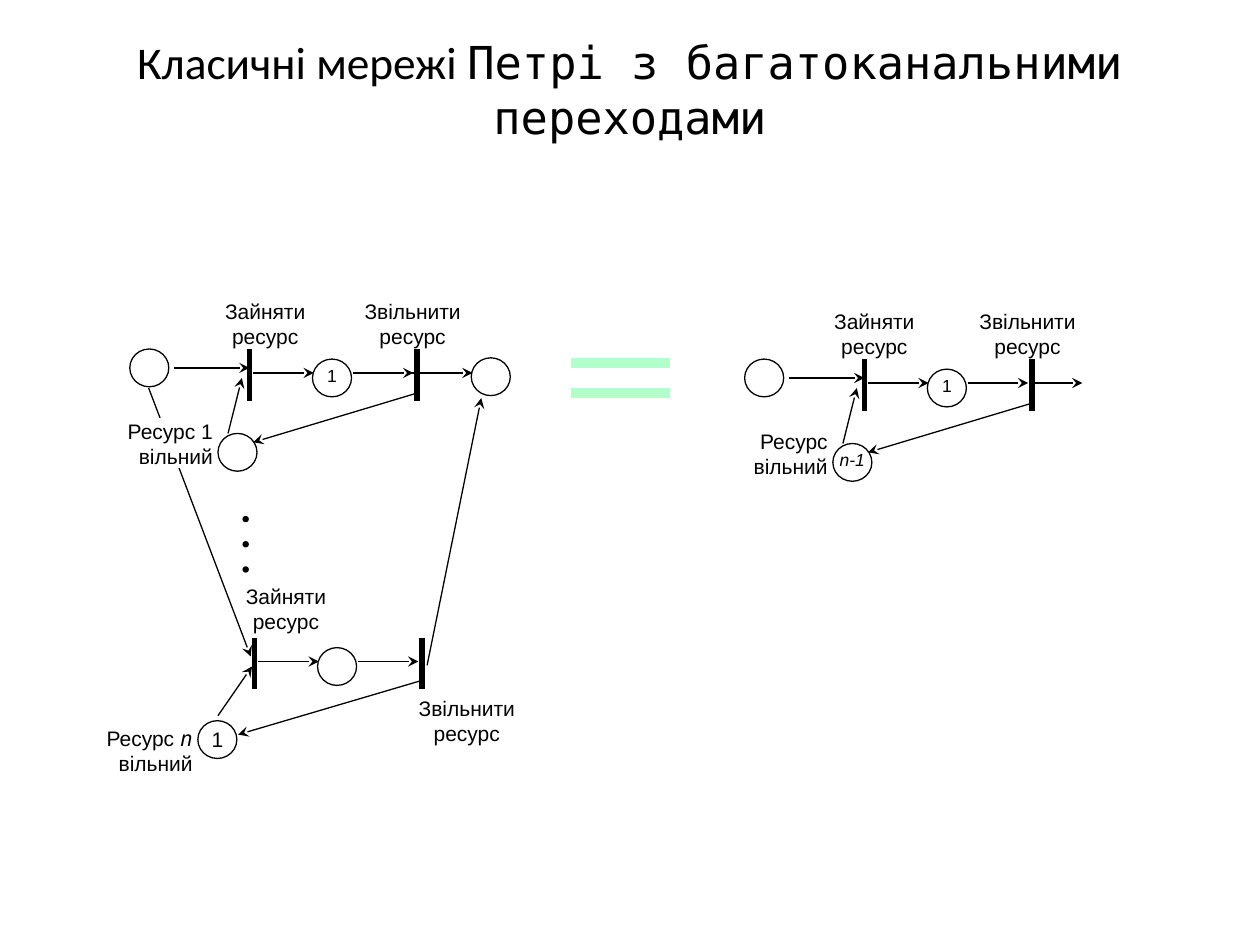
from dataclasses import dataclass

from lxml import etree
from pptx import Presentation
from pptx.dml.color import RGBColor
from pptx.enum.shapes import MSO_CONNECTOR, MSO_SHAPE
from pptx.enum.text import MSO_ANCHOR, PP_ALIGN
from pptx.oxml.ns import qn
from pptx.util import Inches, Pt

LINE = MSO_CONNECTOR.STRAIGHT
OVAL, RECT = MSO_SHAPE.OVAL, MSO_SHAPE.RECTANGLE
TOP, MIDDLE = MSO_ANCHOR.TOP, MSO_ANCHOR.MIDDLE
CENTER, RIGHT = PP_ALIGN.CENTER, PP_ALIGN.RIGHT


@dataclass(frozen=True)
class Theme:
    ink: RGBColor = RGBColor(0x00, 0x00, 0x00)
    paper: RGBColor = RGBColor(0xFF, 0xFF, 0xFF)
    equals: RGBColor = RGBColor(0xB3, 0xFF, 0xCC)
    title_font: str = "Calibri"
    mono_font: str = "DejaVu Sans Mono"
    body_font: str = "Arial"
    title_size: float = 25.9
    label_size: float = 12
    token_size: float = 10
    thin: float = 0.75
    bar: float = 3
    equals_width: float = 6


THEME = Theme()
PLACE_W, PLACE_H = 0.31, 0.3
BAR_GAP, BAR_H = 1.33, 0.41
FLOW_Y = 0.19  # height of the main flow below the top of the bars
OCCUPY, RELEASE = "Зайняти ресурс", "Звільнити ресурс"


def add_line(s, start, end, width=THEME.thin, color=THEME.ink, arrow=False):
    cn = s.shapes.add_connector(LINE, *(Inches(v) for v in (*start, *end)))
    cn.line.width = Pt(width)
    cn.line.color.rgb = color
    etree.SubElement(cn._element.spPr, qn("a:effectLst"))
    if arrow:
        tail = etree.SubElement(cn.line._get_or_add_ln(), qn("a:tailEnd"))
        tail.set("type", "stealth")


def add_arrow(s, start, end):
    add_line(s, start, end, arrow=True)


def add_box(s, kind, x, y, w, h, fill, line):
    sp = s.shapes.add_shape(kind, *(Inches(v) for v in (x, y, w, h)))
    sp.shadow.inherit = False
    sp.fill.solid()
    sp.fill.fore_color.rgb = fill
    sp.line.color.rgb = line
    sp.line.width = Pt(THEME.thin)
    return sp


def set_text(tf, runs, size, align, wrap=True, anchor=TOP, inset=0):
    """Fill one paragraph; runs are (text, font, italic)."""
    tf.word_wrap = wrap
    tf.vertical_anchor = anchor
    tf.margin_left = tf.margin_right = Inches(inset)
    tf.margin_top = tf.margin_bottom = Inches(inset / 2)
    p = tf.paragraphs[0]
    p.alignment = align
    p.font.size = Pt(size)
    p.font.color.rgb = THEME.ink
    for text, font, italic in runs:
        r = p.add_run()
        r.text = text
        r.font.name = font
        r.font.italic = italic


def add_place(s, x, y, token="", size=THEME.token_size, italic=False):
    sp = add_box(s, OVAL, x, y, PLACE_W, PLACE_H, THEME.paper, THEME.ink)
    if token:
        set_text(sp.text_frame, [(token, THEME.body_font, italic)], size,
                 CENTER, wrap=False)


def add_label(s, x, y, w, *runs, align=CENTER):
    sp = add_box(s, RECT, x, y, w, 0.39, THEME.paper, THEME.paper)
    runs = [r if isinstance(r, tuple) else (r, THEME.body_font, False) for r in runs]
    set_text(sp.text_frame, runs, THEME.label_size, align)


def add_channel(s, x, y, token=""):
    """Two transitions around a busy place; (x, y) is the top of the first bar."""
    for bar_x in (x, x + BAR_GAP):
        add_line(s, (bar_x, y), (bar_x, y + BAR_H), THEME.bar)
    add_place(s, x + 0.5, y + 0.08, token)
    for dx in (0.03, 0.82):
        add_arrow(s, (x + dx, y + FLOW_Y), (x + dx + 0.48, y + FLOW_Y))


def add_entry_and_resource(s, x, y, token=""):
    """Input place and resource place of the channel at (x, y)."""
    add_place(s, x - 0.95, y)
    add_arrow(s, (x - 0.6, y + 0.15), (x, y + 0.15))
    add_place(s, x - 0.25, y + 0.67, token, italic=True)
    add_arrow(s, (x - 0.17, y + 0.67), (x - 0.06, y + 0.23))
    add_arrow(s, (x + BAR_GAP, y + 0.35), (x + 0.03, y + 0.74))


def add_first_channel(s, x, y):
    add_channel(s, x, y, "1")
    add_entry_and_resource(s, x, y)
    add_place(s, 3.74, 2.84)
    add_arrow(s, (3.27, y + FLOW_Y), (3.75, y + FLOW_Y))
    add_label(s, 1.73, y - 0.4, 0.75, OCCUPY)
    add_label(s, 2.8, y - 0.4, 0.95, RELEASE)
    add_label(s, 0.79, y + 0.55, 0.9, "Ресурс 1 вільний", align=RIGHT)


def add_last_channel(s, x, y):
    add_channel(s, x, y)
    add_place(s, x - 0.45, y + 0.66, "1", THEME.label_size)
    add_arrow(s, (x - 0.29, y + 0.62), (x - 0.02, y + 0.23))
    add_arrow(s, (x + BAR_GAP, y + 0.34), (x - 0.13, y + 0.77))
    add_label(s, 1.94, y - 0.43, 0.66, OCCUPY)
    add_label(s, 3.23, y + 0.46, 0.95, RELEASE)
    add_label(s, 0.63, y + 0.7, 0.9, "Ресурс ", ("n ", THEME.mono_font, True),
              "вільний", align=RIGHT)


def add_multichannel(s, x, y):
    add_channel(s, x, y, "1")
    add_entry_and_resource(s, x, y, "n-1")
    add_arrow(s, (x + BAR_GAP, y + FLOW_Y), (x + 1.73, y + FLOW_Y))
    add_label(s, 6.61, y - 0.4, 0.66, OCCUPY)
    add_label(s, 7.68, y - 0.4, 0.95, RELEASE)
    add_label(s, 5.67, y + 0.55, 0.9, "Ресурс вільний", align=RIGHT)


def add_title(s):
    tb = s.shapes.add_textbox(*(Inches(v) for v in (0.45, 0.29, 9.1, 0.83)))
    runs = [("Класичні мережі ", THEME.title_font, False),
            ("Петрі з багатоканальними переходами", THEME.mono_font, False)]
    set_text(tb.text_frame, runs, THEME.title_size, CENTER, anchor=MIDDLE, inset=0.1)


def main():
    prs = Presentation()
    prs.slide_width, prs.slide_height = Inches(10), Inches(7.5)
    s = prs.slides.add_slide(prs.slide_layouts[6])

    add_title(s)
    add_multichannel(s, 6.86, 2.85)
    for y in (2.88, 3.12):
        add_line(s, (4.53, y), (5.32, y), THEME.equals_width, THEME.equals)

    add_arrow(s, (1.18, 3.08), (1.99, 5.21))
    add_arrow(s, (3.39, 5.28), (3.82, 3.16))
    add_first_channel(s, 1.98, 2.77)
    add_last_channel(s, 2.02, 5.06)
    for i in range(3):
        add_box(s, OVAL, 1.93, 4.1 + 0.2 * i, 0.04, 0.04, THEME.ink, THEME.ink)

    prs.save("out.pptx")


if __name__ == "__main__":
    main()
